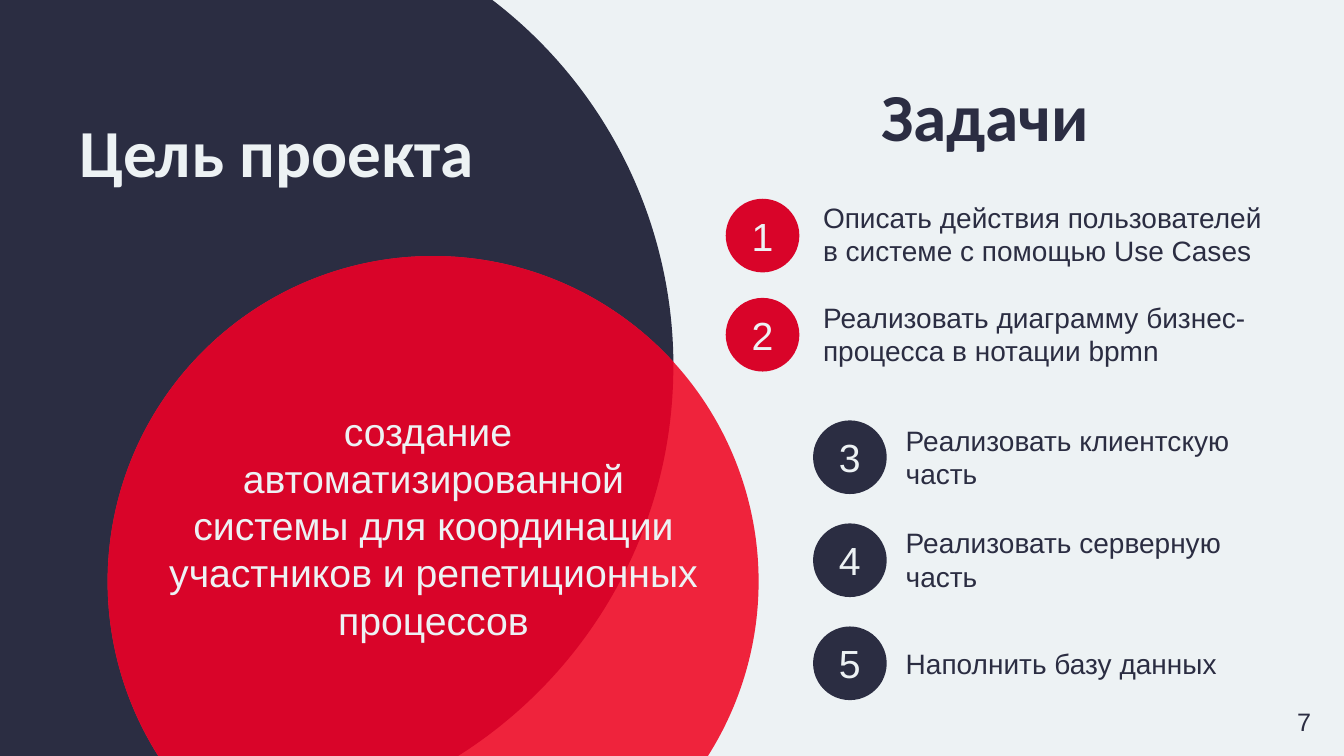
import math
import lxml.etree
import pptx
import pptx.util
import pptx.dml.color
import pptx.enum.shapes
import pptx.enum.text
import pptx.oxml.ns

Pt = pptx.util.Pt
RGBColor = pptx.dml.color.RGBColor
ALIGN = pptx.enum.text.PP_ALIGN
OVAL = pptx.enum.shapes.MSO_SHAPE.OVAL
qn = pptx.oxml.ns.qn

NAVY = RGBColor(0x2B, 0x2D, 0x42)
PALE = RGBColor(0xED, 0xF2, 0xF4)
RED = RGBColor(0xEF, 0x23, 0x3C)
CRIMSON = RGBColor(0xD9, 0x04, 0x29)

GOAL_TITLE = "Цель проекта"
GOAL = [
    ["создание "],
    ["автоматизированной", "системы для координации", "участников и репетиционных", "процессов"],
]
TASKS_TITLE = "Задачи"
TASK_GROUPS = [
    {"color": CRIMSON, "left": 518.4, "top": 142, "pitch": 70.8, "text_left": 580.8, "tasks": [
        ("Описать действия пользователей в системе с помощью Use Cases", 139.5, 336, 55.4),
        ("Реализовать диаграмму бизнес-процесса в нотации bpmn", 210.9, 336, 55.4),
    ]},
    {"color": NAVY, "left": 580.8, "top": 300.3, "pitch": 73.6, "text_left": 639.9, "tasks": [
        ("Реализовать клиентскую часть", 298.7, 277, 55.4),
        ("Реализовать серверную часть", 372, 266, 55.4),
        ("Наполнить базу данных", 458.2, 257, 31.5),
    ]},
]
PAGE = "7"

BADGE = 52.6
BIG = (152, 261.5, 329)
SMALL = (309.4, 415.4, 232.5)

TITLE = {"size": Pt(48), "name": "Calibri", "bold": True}
LEAD = {"size": Pt(28), "name": "Arial"}
BODY = {"size": Pt(20), "name": "Arial"}
NUMBER = {"size": Pt(18), "name": "Arial"}


def paint(sp, color):
    sp.shadow.inherit = False
    sp.fill.solid()
    sp.fill.fore_color.rgb = color
    sp.line.fill.background()


def circle(s, cx, cy, radius, color):
    sp = s.shapes.add_shape(OVAL, Pt(cx - radius), Pt(cy - radius), Pt(2 * radius), Pt(2 * radius))
    paint(sp, color)
    return sp


def write(tf, paragraphs, fmt, color, align=ALIGN.LEFT):
    for i, lines in enumerate(paragraphs):
        p = tf.add_paragraph() if i else tf.paragraphs[0]
        p.alignment = align
        for j, line in enumerate(lines):
            if j:
                p.add_line_break()
            r = p.add_run()
            r.text = line
            for key, value in fmt.items():
                setattr(r.font, key, value)
            r.font.color.rgb = color


def textbox(s, box, paragraphs, fmt, color, align=ALIGN.LEFT, wrap=False):
    tf = s.shapes.add_textbox(*map(Pt, box)).text_frame
    tf.word_wrap = wrap
    tf.auto_size = pptx.enum.text.MSO_AUTO_SIZE.SHAPE_TO_FIT_TEXT
    write(tf, paragraphs, fmt, color, align)


def arc(cx, cy, radius, angles):
    points = []
    for a, b in zip(angles, angles[1:]):
        k = 4 / 3 * math.tan((b - a) / 4)
        points += [
            (math.cos(a) - k * math.sin(a), math.sin(a) + k * math.cos(a)),
            (math.cos(b) + k * math.sin(b), math.sin(b) - k * math.cos(b)),
            (math.cos(b), math.sin(b)),
        ]
    return [(Pt(cx + radius * x), Pt(cy + radius * y)) for x, y in points]


def bend(sp):
    lines = list(sp.element.iter(qn("a:lnTo")))
    for i in range(0, len(lines), 3):
        curve = lxml.etree.Element(qn("a:cubicBezTo"))
        lines[i].addprevious(curve)
        for line in lines[i:i + 3]:
            curve.append(line[0])
            line.getparent().remove(line)


def overlap(s, first, second, color):
    (x1, y1, r1), (x2, y2, r2) = first, second
    d = math.hypot(x2 - x1, y2 - y1)
    angle = math.atan2(y2 - y1, x2 - x1)
    half1 = math.acos((d * d + r1 * r1 - r2 * r2) / (2 * d * r1))
    half2 = math.acos((d * d + r2 * r2 - r1 * r1) / (2 * d * r2))
    back = angle + math.pi
    points = arc(*first, [angle - half1, angle + half1])
    points += arc(*second, [back - half2, math.pi, 1.5 * math.pi, back + half2])
    fb = s.shapes.build_freeform(*points[-1])
    fb.add_line_segments(points, close=True)
    sp = fb.convert_to_shape()
    bend(sp)
    paint(sp, color)


def add_tasks(s):
    number = 0
    for group in TASK_GROUPS:
        for row, (task, top, width, height) in enumerate(group["tasks"]):
            number += 1
            cy = group["top"] + row * group["pitch"] + BADGE / 2
            badge = circle(s, group["left"] + BADGE / 2, cy, BADGE / 2, group["color"])
            badge.text_frame.vertical_anchor = pptx.enum.text.MSO_ANCHOR.MIDDLE
            write(badge.text_frame, [[str(number)]], LEAD, PALE, ALIGN.CENTER)
            textbox(s, (group["text_left"], top, width, height), [[task]], BODY, NAVY, wrap=True)


def main():
    prs = pptx.Presentation()
    prs.slide_width, prs.slide_height = Pt(960), Pt(540)
    s = prs.slides.add_slide(prs.slide_layouts[6])
    s.background.fill.solid()
    s.background.fill.fore_color.rgb = PALE
    circle(s, *BIG, NAVY)
    textbox(s, (49.7, 75.6, 308, 65.5), [[GOAL_TITLE]], TITLE, PALE)
    circle(s, *SMALL, RED)
    overlap(s, BIG, SMALL, CRIMSON)
    textbox(s, (107.3, 287.6, 404.6, 177), GOAL, LEAD, PALE, ALIGN.CENTER)
    textbox(s, (622.4, 49.4, 171.4, 65.5), [[TASKS_TITLE]], TITLE, NAVY)
    add_tasks(s)
    textbox(s, (919.4, 500.8, 23.8, 28.8), [[PAGE]], NUMBER, NAVY)
    prs.save("out.pptx")


if __name__ == "__main__":
    main()
